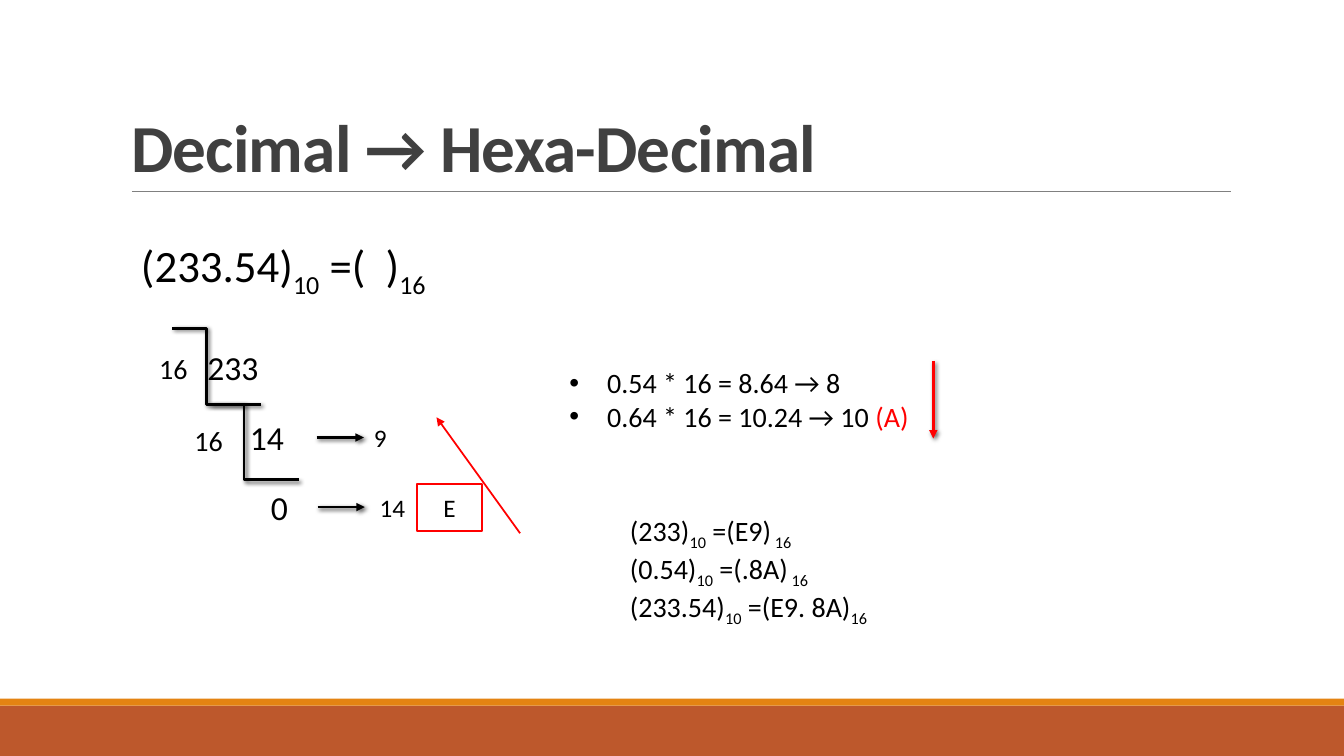
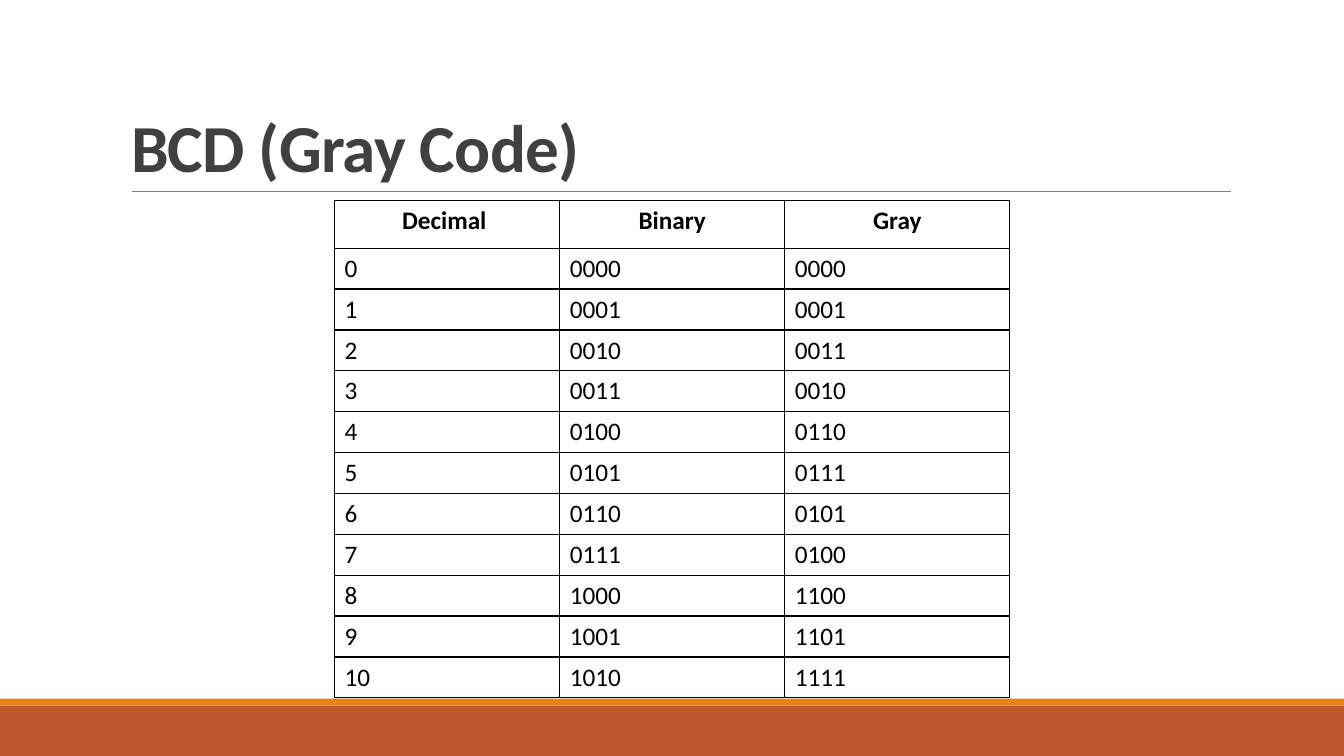
from dataclasses import dataclass

from lxml import etree
from pptx import Presentation
from pptx.dml.color import RGBColor
from pptx.enum.shapes import MSO_CONNECTOR, MSO_SHAPE
from pptx.enum.text import MSO_ANCHOR, MSO_AUTO_SIZE, PP_ALIGN
from pptx.oxml.ns import qn
from pptx.util import Pt

LINE, ELBOW = MSO_CONNECTOR.STRAIGHT, MSO_CONNECTOR.ELBOW
RECT = MSO_SHAPE.RECTANGLE
TOP, MIDDLE, BOTTOM = MSO_ANCHOR.TOP, MSO_ANCHOR.MIDDLE, MSO_ANCHOR.BOTTOM
LEFT, CENTER = PP_ALIGN.LEFT, PP_ALIGN.CENTER
NO_FIT = MSO_AUTO_SIZE.NONE
LEFT_SIDE = 1
TITLE_ONLY = 5


@dataclass(frozen=True)
class Theme:
    font: str = "Calibri"
    ink: str = "000000"
    head: str = "404040"
    rule: str = "808080"
    rust: str = "BD582C"
    amber: str = "E48312"
    red: str = "FF0000"
    title: int = 48
    lead: int = 32
    large: int = 24
    body: int = 20
    small: int = 18
    thin: float = 0.5
    mid: float = 1.25
    thick: float = 2


THEME = Theme()


def rgb(code):
    return RGBColor.from_string(code)


def pts(*values):
    return [Pt(value) for value in values]


def node(parent, tag, **attrs):
    return etree.SubElement(parent, qn(tag), attrs)


def add_run(para, text, size, color=THEME.ink, bold=False, sub=False):
    run = para.add_run()
    run.text = text
    font = run.font
    font.name, font.size, font.bold = THEME.font, Pt(size), bold
    font.color.rgb = rgb(color)
    if sub:
        run._r.get_or_add_rPr().set("baseline", "-25000")
    return run


def add_text(slide, box, lines, size, bullet=False):
    """Each line is a list of runs: (text, options)."""
    shape = slide.shapes.add_textbox(*pts(*box))
    frame = shape.text_frame
    frame.word_wrap = True
    for i, runs in enumerate(lines):
        para = frame.add_paragraph() if i else frame.paragraphs[0]
        if bullet:
            props = para._p.get_or_add_pPr()
            props.set("marL", str(Pt(27)))
            props.set("indent", str(-Pt(27)))
            node(props, "a:buFont", typeface="Arial")
            node(props, "a:buChar", char="•")
        for text, style in runs:
            add_run(para, text, size, **style)
    return shape


def add_word(slide, box, text, size):
    return add_text(slide, box, [[(text, {})]], size)


def add_rect(slide, box, fill=None, edge=None):
    shape = slide.shapes.add_shape(RECT, *pts(*box))
    shape.shadow.inherit = False
    if fill:
        shape.fill.solid()
        shape.fill.fore_color.rgb = rgb(fill)
    else:
        shape.fill.background()
    if edge:
        shape.line.color.rgb = rgb(edge)
        shape.line.width = Pt(THEME.mid)
    else:
        shape.line.fill.background()
    return shape


def add_line(slide, ends, color, width, kind=LINE, arrow=False, shadow=False):
    line = slide.shapes.add_connector(kind, *pts(*ends))
    line.line.color.rgb = rgb(color)
    line.line.width = Pt(width)
    props = line.element.spPr
    if arrow:
        node(props.find(qn("a:ln")), "a:tailEnd", type="triangle")
    effects = node(props, "a:effectLst")
    if shadow:
        cast = node(effects, "a:outerShdw", blurRad=str(Pt(3)),
                    dist=str(Pt(2)), dir="2700000", algn="tl", rotWithShape="0")
        tint = node(cast, "a:srgbClr", val=THEME.ink)
        node(tint, "a:alpha", val="60000")
    return line


def add_step(slide, x, y):
    """Draw one bracket of the long division."""
    step = add_line(slide, (x, y, x + 63.4, y + 54), THEME.ink, THEME.thick,
                    ELBOW, shadow=True)
    shape = step.element.spPr.find(qn("a:prstGeom"))
    node(shape.find(qn("a:avLst")), "a:gd", name="adj1", fmla="val 38600")


def add_page(deck, title):
    slide = deck.slides.add_slide(deck.slide_layouts[TITLE_ONLY])
    add_rect(slide, (0, 504, 960, 36), THEME.rust)
    add_rect(slide, (0, 499, 960, 5), THEME.amber)
    add_line(slide, (94.3, 136.8, 879, 136.8), THEME.rule, THEME.thin)
    shape = slide.shapes.title
    shape.left, shape.top, shape.width, shape.height = pts(86.4, 22.3, 792, 114.5)
    frame = shape.text_frame
    frame.word_wrap, frame.auto_size = True, NO_FIT
    frame.vertical_anchor = BOTTOM
    para = frame.paragraphs[0]
    para.alignment, para.line_spacing = LEFT, 0.85
    run = add_run(para, title, THEME.title, THEME.head, bold=True)
    run._r.get_or_add_rPr().set("spc", "-50")
    return slide


def equate(left, right, gap=""):
    """Runs that set a decimal number equal to a hexadecimal one."""
    low = {"sub": True}
    return [(left, {}), ("10", low), (f" ={right}", {}), (f"{gap}16", low)]


def add_hexa(deck):
    slide = add_page(deck, "Decimal → Hexa-Decimal")
    add_text(slide, (93.6, 166.5, 296.6, 46.3),
             [equate("(233.54)", "(  )")], THEME.lead)

    for x, y in ((123.1, 234.7), (149.8, 288.7)):
        add_step(slide, x, y)
    for text, x, y in (("233", 141.1, 244.1), ("14", 171.4, 294.5),
                       ("0", 186.5, 344.2)):
        add_word(slide, (x, y, 54.7, 36), text, THEME.large)
    for x, y in ((106.6, 247.7), (131.8, 298.8)):
        add_word(slide, (x, y, 37.4, 31.7), "16", THEME.body)

    nine = add_word(slide, (259.9, 298.1, 25.2, 28.8), "9", THEME.small)
    add_word(slide, (264.2, 347.8, 33.8, 28.8), "14", THEME.small)
    arrows = [add_line(slide, (x, y, x + 33.8, y), THEME.ink, THEME.thick,
                       arrow=True, shadow=True)
              for x, y in ((226.1, 312.5), (226.8, 362.2))]
    arrows[0].end_connect(nine, LEFT_SIDE)

    digit = add_rect(slide, (298.1, 345.6, 46.1, 33.8), edge=THEME.red)
    digit.text_frame.vertical_anchor = MIDDLE
    para = digit.text_frame.paragraphs[0]
    para.alignment = CENTER
    add_run(para, "E", THEME.small)

    add_text(slide, (399.6, 257.8, 487.4, 55.4),
             [[("0.54 * 16 = 8.64 → 8", {})],
              [("0.64 * 16 = 10.24 → 10 ", {}), ("(A)", {"color": THEME.red})]],
             THEME.body, bullet=True)
    add_line(slide, (371.5, 380.9, 311.8, 298.1), THEME.red, THEME.mid, arrow=True)
    add_line(slide, (666.7, 257.8, 666.7, 313.2), THEME.red, THEME.thick,
             arrow=True, shadow=True)
    add_text(slide, (442.8, 362.9, 265.7, 104.4),
             [equate("(233)", "(E9)", " "), equate("(0.54)", "(.8A)", " "),
              equate("(233.54)", "(E9. 8A)")], THEME.body)


def fill_cell(cell, text, header):
    cell.vertical_anchor = TOP if header else MIDDLE
    para = cell.text_frame.paragraphs[0]
    para.alignment = CENTER if header else LEFT
    add_run(para, text, THEME.small, bold=header)
    props = cell._tc.get_or_add_tcPr()
    for side in "LRTB":
        edge = node(props, f"a:ln{side}", w=str(Pt(1)))
        node(node(edge, "a:solidFill"), "a:srgbClr", val=THEME.ink)
    cell.fill.background()


def add_gray(deck):
    slide = add_page(deck, "BCD (Gray Code)")
    rows = [("Decimal ", "Binary", "Gray")]
    rows += [(str(n), f"{n:04b}", f"{n ^ n >> 1:04b}") for n in range(11)]
    box = pts(239, 143.3, 482.4, 355)
    table = slide.shapes.add_table(len(rows), len(rows[0]), *box).table
    table.first_row = table.horz_banding = False
    for column in table.columns:
        column.width = Pt(160.8)
    for r, texts in enumerate(rows):
        table.rows[r].height = Pt(29.2 if r else 34)
        for c, text in enumerate(texts):
            fill_cell(table.cell(r, c), text, header=r == 0)


def main():
    deck = Presentation()
    deck.slide_width, deck.slide_height = pts(960, 540)
    add_hexa(deck)
    add_gray(deck)
    deck.save("out.pptx")


if __name__ == "__main__":
    main()
